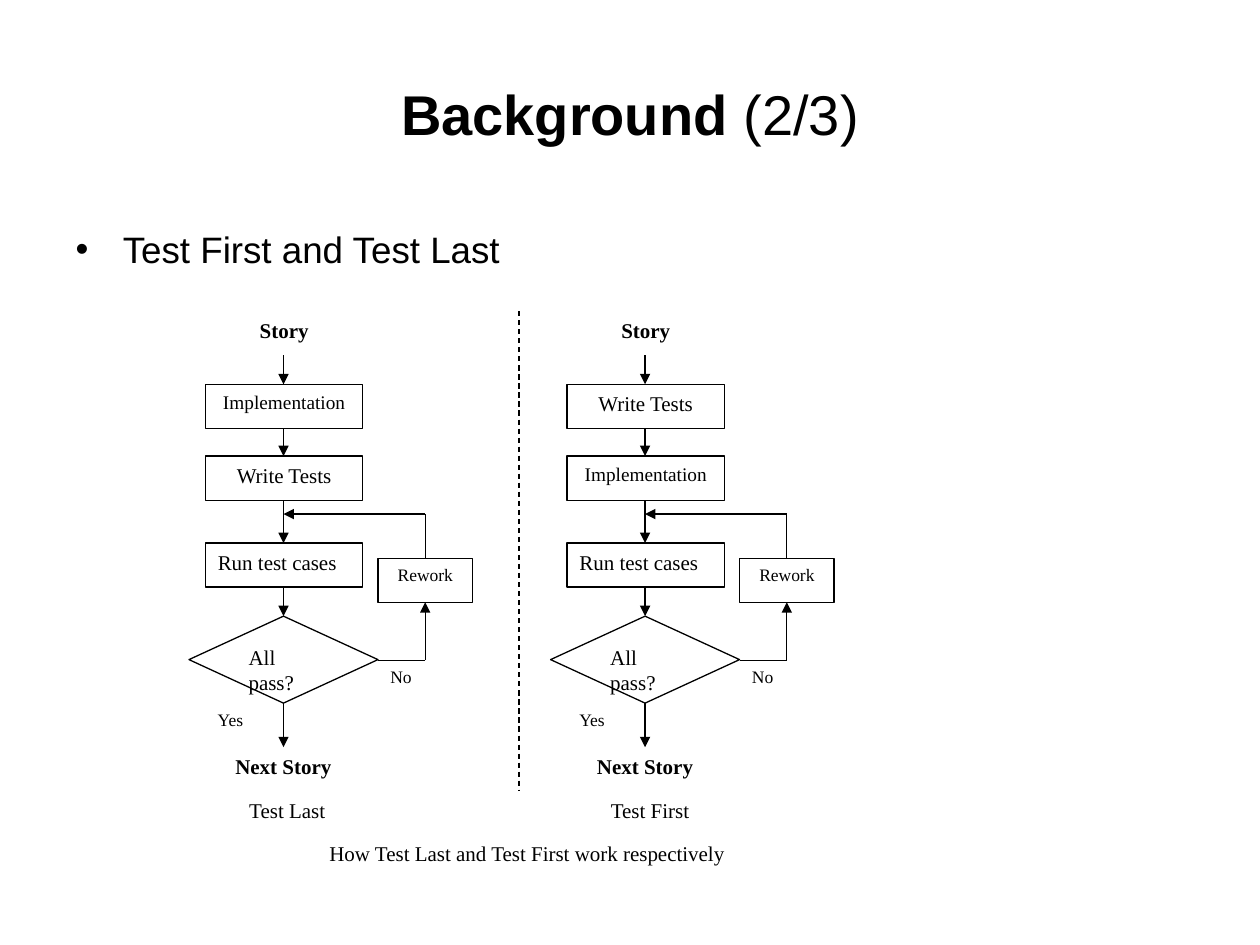
from lxml import etree
from pptx import Presentation
from pptx.dml.color import RGBColor
from pptx.enum import dml, shapes, text
from pptx.oxml import ns
from pptx.util import Inches, Pt

HUES = {"ink": "000000", "paper": "FFFFFF"}
INK = RGBColor.from_string(HUES["ink"])
PAPER = RGBColor.from_string(HUES["paper"])
RECT = shapes.MSO_SHAPE.RECTANGLE
MID, JUST = text.PP_ALIGN.CENTER, text.PP_ALIGN.JUSTIFY

deck = Presentation()
deck.slide_width, deck.slide_height = Inches(10), Inches(7.5)
slide = deck.slides.add_slide(deck.slide_layouts[1])

title, body = slide.placeholders
title.left, title.top = Inches(0.5), Inches(0.42)
title.width, title.height = Inches(9), Inches(0.95)
line = title.text_frame.paragraphs[0]
line.alignment = MID
for words, bold in (("Background", True), (" (2/3)", False)):
    run = line.add_run()
    run.text = words
    run.font.name, run.font.size, run.font.bold = "Arial", Pt(32), bold
    run.font.color.rgb = INK

body.left, body.top = Inches(0.5), Inches(1.75)
body.width, body.height = Inches(9), Inches(4.95)
body.text_frame.text = "Test First and Test Last"
line = body.text_frame.paragraphs[0]
line.space_before = Pt(0)
font = line.runs[0].font
font.name, font.size = "Arial", Pt(21)
font.color.rgb = INK

chart = slide.shapes.add_group_shape().shapes


def add_box(x, y, w, h, words, size=12, align=MID, bold=False,
            edge=False, fill=True, kind=RECT):
    box = chart.add_shape(kind, Inches(x), Inches(y), Inches(w), Inches(h))
    box.shadow.inherit = False
    if fill:
        box.fill.solid()
        box.fill.fore_color.rgb = PAPER
    else:
        box.fill.background()
    if edge:
        box.line.color.rgb = INK
        box.line.width = Pt(0.75)
    else:
        box.line.fill.background()
    frame = box.text_frame
    frame.word_wrap = True
    frame.vertical_anchor = text.MSO_ANCHOR.TOP
    frame.text = words
    par = frame.paragraphs[0]
    par.alignment = align
    font = par.runs[0].font
    font.name, font.size, font.bold = "Times New Roman", Pt(size), bold
    font.color.rgb = INK


def add_line(x1, y1, x2, y2, head=True, dash=False):
    rule = chart.add_connector(shapes.MSO_CONNECTOR.STRAIGHT,
                               Inches(x1), Inches(y1), Inches(x2), Inches(y2))
    rule.line.color.rgb = INK
    rule.line.width = Pt(0.75)
    if dash:
        rule.line.dash_style = dml.MSO_LINE.DASH
    if head:
        tip = etree.SubElement(rule.line._get_or_add_ln(), ns.qn("a:tailEnd"))
        tip.set("type", "triangle")
    etree.SubElement(rule._element.spPr, ns.qn("a:effectLst"))


code, tests = ("Implementation", 11), ("Write Tests", 12)
flows = (
    (2.25, "Test Last", code, tests),
    (5.12, "Test First", tests, code),
)
for mid, name, first, second in flows:
    side = mid + 1.125
    add_box(mid - 0.37, 2.47, 0.75, 0.35, "Story", bold=True)
    steps = ((3.05, first, MID), (3.62, second, MID),
             (4.31, ("Run test cases", 12), JUST))
    for top, (words, size), align in steps:
        add_box(mid - 0.62, top, 1.25, 0.35, words, size, align, edge=True)
    add_box(mid - 0.75, 4.89, 1.5, 0.69, "All pass?", align=JUST, edge=True,
            kind=shapes.MSO_SHAPE.FLOWCHART_DECISION)
    add_box(mid + 0.75, 4.43, 0.75, 0.35, "Rework", 10, edge=True)
    add_box(mid + 0.75, 5.24, 0.63, 0.35, "No", 10, JUST, fill=False)
    add_box(mid - 0.62, 5.58, 0.5, 0.35, "Yes", 10, JUST)
    add_box(mid - 0.5, 5.93, 1, 0.34, "Next Story", bold=True)
    add_box(mid - 0.37, 6.28, 0.87, 0.35, name, align=JUST)

    for start, end in ((2.82, 3.05), (3.4, 3.62), (3.97, 4.31),
                       (4.66, 4.89), (5.58, 5.93)):
        add_line(mid, start, mid, end)
    # The rework loop runs from the decision back above the test run.
    add_line(mid + 0.75, 5.24, side, 5.24, head=False)
    add_line(side, 5.24, side, 4.78)
    add_line(side, 4.43, side, 4.08, head=False)
    add_line(side, 4.08, mid, 4.08)

add_line(4.12, 2.47, 4.12, 6.28, head=False, dash=True)
add_box(2.25, 6.62, 3.87, 0.35,
        "How Test Last and Test First work respectively")

deck.save("out.pptx")
